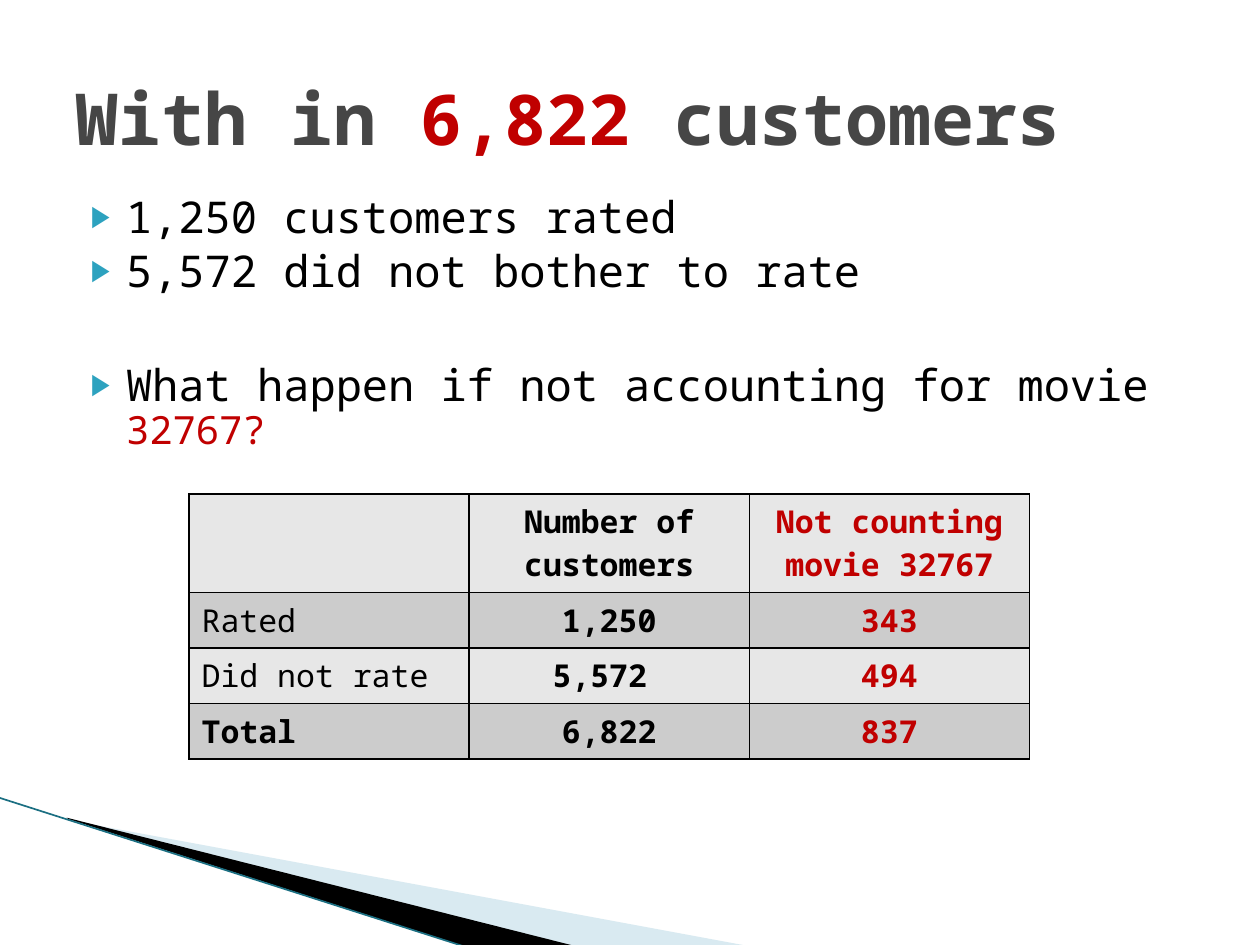
from lxml import etree
from pptx import Presentation
from pptx.dml.color import RGBColor
from pptx.enum import text
from pptx.oxml import parse_xml
from pptx.oxml.ns import nsdecls, qn
from pptx.util import Inches, Pt

FONT = "Noto Sans Mono"
BLACK = RGBColor(0, 0, 0)
RED = RGBColor(0xC0, 0, 0)
GREY = RGBColor(0x46, 0x46, 0x46)
PALE_BLUE = RGBColor(0xA0, 0xCB, 0xDC)
TEAL = RGBColor(0x1B, 0x6F, 0x82)
BANDS = (RGBColor(0xE7, 0xE7, 0xE7), RGBColor(0xCC, 0xCC, 0xCC))

# Content: runs are (text, size, colour)
TITLE = [("With in ", 41, GREY), ("6,822", 40, RED), (" customers", 41, GREY)]
BULLETS = [  # space before, runs
    (4, [("1,250 customers rated", 25, BLACK)]),
    (4, [("5,572 did not bother to rate", 25, BLACK)]),
    (38, [("What happen if not accounting for movie ", 25, BLACK),
          ("32767?", 22.2, RED)]),
]
ROWS = [
    ("", "Number of customers", "Not counting movie 32767"),
    ("Rated", "1,250", "343"),
    ("Did not rate", "5,572 ", "494"),
    ("Total", "6,822", "837"),
]
ROW_HEIGHTS = (0.78, 0.44, 0.44, 0.44)
WEDGES = [  # colour, alpha percent, corners
    (PALE_BLUE, 40, [(0.55, 6.51), (5.95, 7.51), (4.56, 7.51), (0.55, 6.5)]),
    (BLACK, 100, [(0.53, 6.49), (4.57, 7.51), (3.72, 7.52), (0.54, 6.5)]),
]


def add_run(paragraph, words, size, color, bold=False):
    run = paragraph.add_run()
    run.text = words
    run.font.name = FONT
    run.font.size = Pt(size)
    run.font.bold = bold
    run.font.color.rgb = color


def place(shape, left, top, width, height):
    shape.left, shape.top = Inches(left), Inches(top)
    shape.width, shape.height = Inches(width), Inches(height)
    shape.text_frame.auto_size = text.MSO_AUTO_SIZE.NONE
    shape.text_frame.word_wrap = True


def add_bullet(paragraph):
    properties = paragraph._p.get_or_add_pPr()
    properties.set("marL", str(Inches(0.4)))
    properties.set("indent", str(Inches(-0.28)))
    for xml in ('<a:buClr %s><a:srgbClr val="2DA2BF"/></a:buClr>',
                '<a:buSzPct %s val="68000"/>',
                '<a:buFont %s typeface="Arial"/>',
                '<a:buChar %s char="\u25b6"/>'):
        properties.append(parse_xml(xml % nsdecls("a")))


def add_borders(cell):
    properties = cell._tc.get_or_add_tcPr()
    for index, side in enumerate(("lnL", "lnR", "lnT", "lnB")):
        properties.insert(index, parse_xml(
            f'<a:{side} {nsdecls("a")} w="12700"><a:solidFill>'
            f'<a:srgbClr val="{BLACK}"/></a:solidFill></a:{side}>'))


presentation = Presentation()
presentation.slide_width, presentation.slide_height = Inches(10), Inches(7.5)
slide = presentation.slides.add_slide(presentation.slide_layouts[1])
title, body = slide.placeholders

# Corner decoration, behind the text
decoration = []
for color, alpha, corners in WEDGES:
    points = [(Inches(x), Inches(y)) for x, y in corners]
    builder = slide.shapes.build_freeform(*points[0])
    builder.add_line_segments(points[1:], close=True)
    wedge = builder.convert_to_shape()
    wedge.shadow.inherit = False
    wedge.fill.solid()
    wedge.fill.fore_color.rgb = color
    wedge.line.fill.background()
    if alpha < 100:
        color_element = wedge._element.spPr.find(".//" + qn("a:srgbClr"))
        etree.SubElement(color_element, qn("a:alpha"), val=str(alpha * 1000))
    decoration.append(wedge)
edge = slide.shapes.add_connector(
    1, Inches(-0.01), Inches(6.33), Inches(3.71), Inches(7.52))
edge.line.color.rgb = TEAL
edge.line.width = Pt(0.95)
etree.SubElement(edge._element.spPr, qn("a:effectLst"))
decoration.append(edge)
for shape in decoration:
    title._element.addprevious(shape._element)

# Title
place(title, 0.5, 0.3, 9, 1.25)
title.text_frame.vertical_anchor = text.MSO_ANCHOR.MIDDLE
paragraph = title.text_frame.paragraphs[0]
paragraph.alignment = text.PP_ALIGN.LEFT
for words, size, color in TITLE:
    add_run(paragraph, words, size, color, bold=True)

# Bullets
place(body, 0.5, 1.5, 9.17, 1.83)
for index, (space, runs) in enumerate(BULLETS):
    frame = body.text_frame
    paragraph = frame.add_paragraph() if index else frame.paragraphs[0]
    paragraph.space_before = Pt(space)
    paragraph.line_spacing = 0.9
    add_bullet(paragraph)
    for words, size, color in runs:
        add_run(paragraph, words, size, color)

# Table
table = slide.shapes.add_table(
    len(ROWS), len(ROWS[0]), Inches(1.5), Inches(3.92),
    Inches(6.67), Inches(sum(ROW_HEIGHTS))).table
table.first_row = table.horz_banding = False
for row, (height, values) in enumerate(zip(ROW_HEIGHTS, ROWS)):
    table.rows[row].height = Inches(height)
    for column, value in enumerate(values):
        cell = table.cell(row, column)
        cell.fill.solid()
        cell.fill.fore_color.rgb = BANDS[row % 2]
        add_borders(cell)
        if value:
            paragraph = cell.text_frame.paragraphs[0]
            if column:
                paragraph.alignment = text.PP_ALIGN.CENTER
            add_run(paragraph, value, 18, RED if column == 2 else BLACK,
                    bold=column > 0 or value == "Total")

presentation.save("out.pptx")
